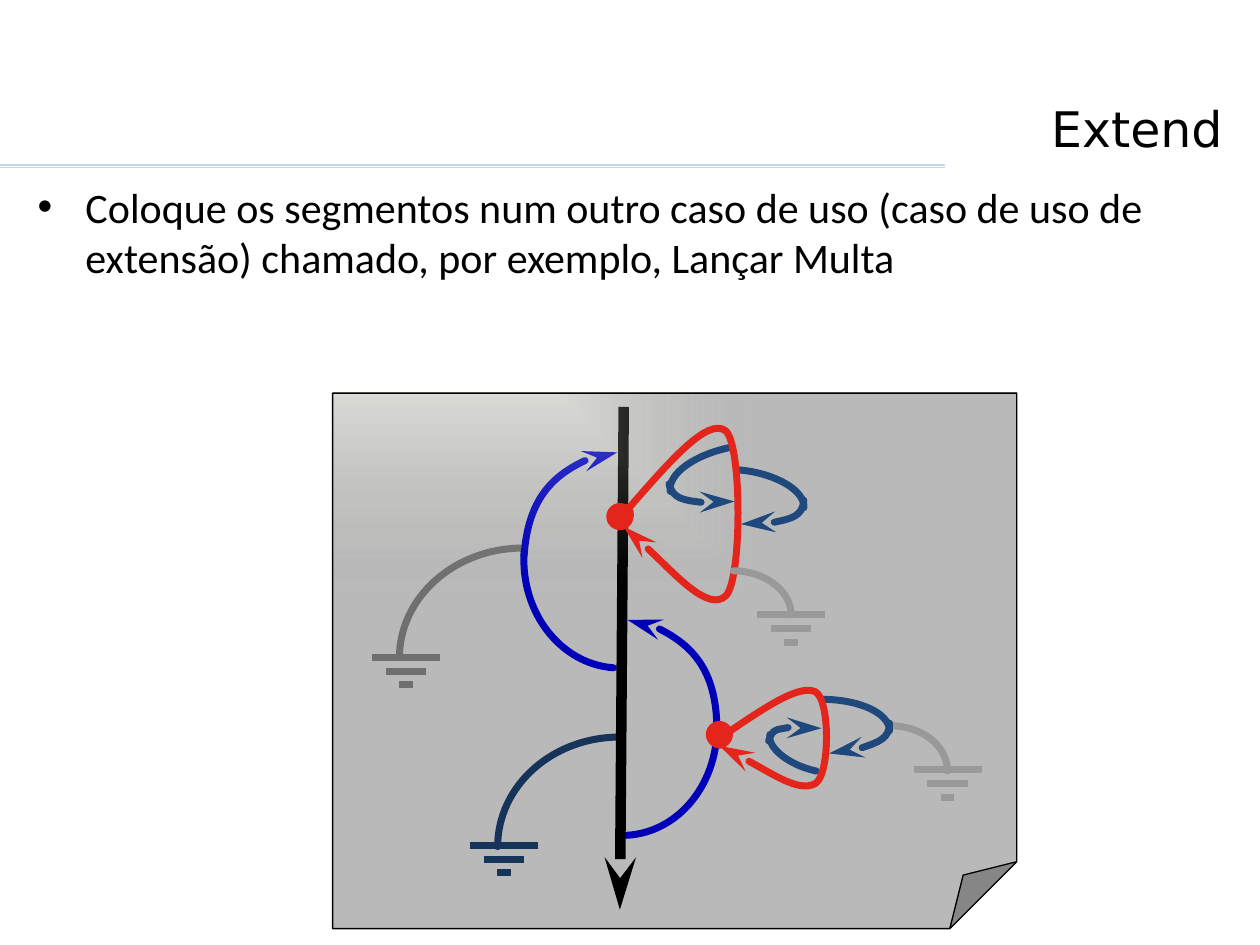
from dataclasses import dataclass

from lxml.etree import SubElement
from pptx import Presentation
from pptx.dml.color import RGBColor
from pptx.enum.shapes import MSO_CONNECTOR as Connector, MSO_SHAPE as Preset
from pptx.enum.text import MSO_ANCHOR as Anchor, PP_ALIGN as Align
from pptx.oxml import parse_xml
from pptx.oxml.ns import qn
from pptx.util import Inches, Pt

COLUMNS, ROWS = 100, 75


@dataclass(frozen=True)
class Theme:
    ink: str = "000000"
    rule: str = "C4D6EB"
    blue: str = "0000FF"
    navy: str = "1F497D"
    grey: str = "999999"
    red: str = "E4251C"
    paper: str = "EEECE1"
    title_font: str = "DejaVu Sans"
    body_font: str = "Calibri"
    title_size: float = 28
    body_size: float = 24
    hairline: float = 0.75
    stroke: float = 4
    heavy: float = 6


def write(frame, text, *, font, size, color, align=Align.LEFT,
          anchor=Anchor.TOP, bullet=None, indent=0):
    frame.word_wrap = True
    frame.vertical_anchor = anchor
    paragraph = frame.paragraphs[0]
    paragraph.alignment = align
    if bullet:
        properties = paragraph._p.get_or_add_pPr()
        properties.set("marL", str(indent))
        properties.set("indent", str(-indent))
        SubElement(properties, qn("a:buFont"), typeface="Arial")
        SubElement(properties, qn("a:buChar"), char=bullet)
    run = paragraph.add_run()
    run.text = text
    run.font.name = font
    run.font.size = Pt(size)
    run.font.color.rgb = RGBColor.from_string(color)


class Canvas:
    """Draws on one slide; lengths are columns and rows of its grid."""

    def __init__(self, presentation, theme):
        self.theme = theme
        self.slide = presentation.slides.add_slide(presentation.slide_layouts[6])
        self.column = presentation.slide_width / COLUMNS
        self.row = presentation.slide_height / ROWS

    def place(self, *lengths):
        """Turn alternating columns and rows into slide units."""
        return [round(length * (self.row if i % 2 else self.column))
                for i, length in enumerate(lengths)]

    def stroke(self, shape, color, width, head=None, tail=None):
        shape.line.color.rgb = RGBColor.from_string(color)
        shape.line.width = Pt(width)
        outline = shape.line._get_or_add_ln()
        for tag, kind in (("a:headEnd", head), ("a:tailEnd", tail)):
            if kind:
                length = "lg" if kind == "stealth" else "med"
                SubElement(outline, qn(tag), type=kind, w="med", len=length)
        return outline

    def text(self, box, text, **style):
        frame = self.slide.shapes.add_textbox(*self.place(*box)).text_frame
        write(frame, text, **style)

    def line(self, start, end, color, width, tail=None):
        connector = self.slide.shapes.add_connector(
            Connector.STRAIGHT, *self.place(*start, *end))
        self.stroke(connector, color, width, tail=tail)
        SubElement(connector._element.spPr, qn("a:effectLst"))

    def curve(self, color, points, head=None, tail=None):
        """A start point, then three Bézier points for each segment."""
        start, *rest = [self.place(*point) for point in points]
        builder = self.slide.shapes.build_freeform(*start)
        builder.add_line_segments(rest, close=False)
        shape = builder.convert_to_shape()
        shape.fill.background()
        shape.shadow.inherit = False
        outline = self.stroke(shape, color, self.theme.stroke, head, tail)
        outline.set("cap", "rnd")
        steps = list(shape._element.iter(qn("a:lnTo")))
        route = steps[0].getparent()
        for first in range(0, len(steps), 3):
            bezier = SubElement(route, qn("a:cubicBezTo"))
            for step in steps[first:first + 3]:
                bezier.append(step[0])
                route.remove(step)

    def ground(self, center, top, color):
        for level, half in enumerate((2.7, 1.6, 0.55)):
            y = top + 1.08 * level
            self.line((center - half, y), (center + half, y),
                      color, self.theme.stroke)

    def dot(self, left, top, size=1.6):
        shape = self.slide.shapes.add_shape(
            Preset.OVAL, *self.place(left, top, size, size))
        shape.shadow.inherit = False
        shape.fill.solid()
        shape.fill.fore_color.rgb = RGBColor.from_string(self.theme.red)
        self.stroke(shape, self.theme.red, self.theme.stroke)

    def sheet(self, box):
        shape = self.slide.shapes.add_shape(Preset.FOLDED_CORNER, *self.place(*box))
        properties = shape._element.spPr
        guides = next(properties.iter(qn("a:avLst")))
        SubElement(guides, qn("a:gd"), name="adj", fmla="val 12500")
        shape.shadow.inherit = False
        shape.fill.background()
        self.stroke(shape, self.theme.ink, self.theme.hairline)
        stops = "".join(
            f'<a:gs pos="{position}"><a:srgbClr val="{color}">'
            f'<a:alpha val="{alpha}"/></a:srgbClr></a:gs>'
            for position, color, alpha in ((0, self.theme.paper, 48000),
                                           (100000, self.theme.ink, 27000)))
        gradient = parse_xml(
            '<a:gradFill xmlns:a="http://schemas.openxmlformats.org/drawingml/2006/main"'
            f' rotWithShape="1"><a:gsLst>{stops}</a:gsLst><a:path path="rect">'
            '<a:fillToRect r="100000" b="100000"/></a:path></a:gradFill>')
        properties.replace(properties.find(qn("a:noFill")), gradient)


def main():
    presentation = Presentation()
    presentation.slide_width, presentation.slide_height = Inches(10), Inches(7.5)
    theme = Theme()
    canvas = Canvas(presentation, theme)

    # Heading rules and text
    for y in (13.3, 13.1):
        canvas.line((0, y), (75, y), theme.rule, theme.hairline)
    canvas.text((1.8, 2.8, 96.2, 10.2), "Extend", font=theme.title_font,
                size=theme.title_size, color=theme.ink, align=Align.RIGHT,
                anchor=Anchor.BOTTOM)
    canvas.text((2, 13.9, 96.1, 59),
                "Coloque os segmentos num outro caso de uso (caso de uso de "
                "extensão) chamado, por exemplo, Lançar Multa",
                font=theme.body_font, size=theme.body_size, color=theme.ink,
                bullet="•", indent=Inches(0.38))

    # Main flow and its branches, beneath the sheet
    canvas.curve(theme.blue, [(49.7, 66.3), (53.9, 66.1), (57.1, 62.1), (56.9, 57.3)])
    canvas.curve(theme.blue, [(56.9, 57.6), (56.8, 53.2), (53.7, 49.5), (49.8, 49.2)],
                 tail="stealth")
    canvas.curve(theme.grey, [(31.7, 52.2), (31.7, 47.4), (36.1, 43.5), (41.5, 43.5)])
    canvas.ground(32.25, 52.2, theme.grey)
    canvas.curve(theme.blue, [(48.7, 53), (44.5, 52.7), (41.3, 48.6), (41.6, 43.8)])
    canvas.curve(theme.blue, [(41.6, 44.1), (41.9, 39.7), (45.1, 36.1), (49, 35.9)],
                 tail="stealth")
    canvas.curve(theme.navy, [(39.5, 67.2), (39.5, 62.4), (43.8, 58.5), (49.2, 58.5)])
    canvas.ground(40, 67.1, theme.navy)
    canvas.line((49.5, 32.3), (49.2, 72.2), theme.ink, theme.heavy, tail="stealth")

    # Translucent sheet
    canvas.sheet((26.4, 31.2, 54.3, 42.5))

    # Upper extension
    canvas.curve(theme.navy, [(58, 35.5), (55.1, 36.1), (53, 37.6), (53.2, 39)])
    canvas.curve(theme.navy, [(53.1, 38.4), (53.4, 39.6), (55.6, 40.2), (58.3, 39.8)],
                 tail="stealth")
    canvas.curve(theme.navy, [(58.7, 37.3), (61.7, 37.6), (63.9, 39), (63.8, 40.3)])
    canvas.curve(theme.navy, [(63.8, 39.7), (63.7, 41), (61.5, 41.8), (58.8, 41.6)],
                 tail="stealth")
    canvas.curve(theme.red, [(49.5, 40.8), (52.9, 36.9), (56.2, 33.1), (57.6, 34.2),
                             (58.9, 35.3), (58.9, 46.1), (57.6, 47.3),
                             (56.2, 48.6), (50.8, 42.8), (49.5, 41.8)],
                 head="oval", tail="stealth")
    canvas.curve(theme.grey, [(58.2, 45.3), (60.7, 45.3), (62.8, 46.9), (62.8, 48.8)])
    canvas.ground(62.8, 48.8, theme.grey)

    # Lower extension
    canvas.curve(theme.grey, [(70.6, 57.6), (73.2, 57.6), (75.2, 59.2), (75.2, 61.2)])
    canvas.ground(75.2, 61.1, theme.grey)
    canvas.curve(theme.navy, [(65.2, 55.5), (68.2, 55.5), (70.6, 56.6), (70.6, 58)])
    canvas.curve(theme.navy, [(70.6, 57.4), (70.6, 58.6), (68.5, 59.7), (65.8, 59.8)],
                 tail="stealth")
    canvas.curve(theme.navy, [(64.8, 61.2), (62.5, 60.7), (60.9, 59.3), (61.1, 58.3)])
    canvas.curve(theme.navy, [(61, 58.8), (61.3, 57.8), (63.1, 57.4), (65.2, 57.8)],
                 tail="stealth")
    canvas.curve(theme.red, [(57.1, 58.6), (60.2, 56.5), (63.4, 54.3), (64.7, 54.9),
                             (65.9, 55.5), (65.9, 61.5), (64.7, 62.2),
                             (63.4, 62.9), (58.3, 59.7), (57.1, 59.2)],
                 head="oval", tail="stealth")

    # Extension points
    for left, top in ((48.4, 40.2), (56.3, 57.5)):
        canvas.dot(left, top)

    presentation.save("out.pptx")


if __name__ == "__main__":
    main()
